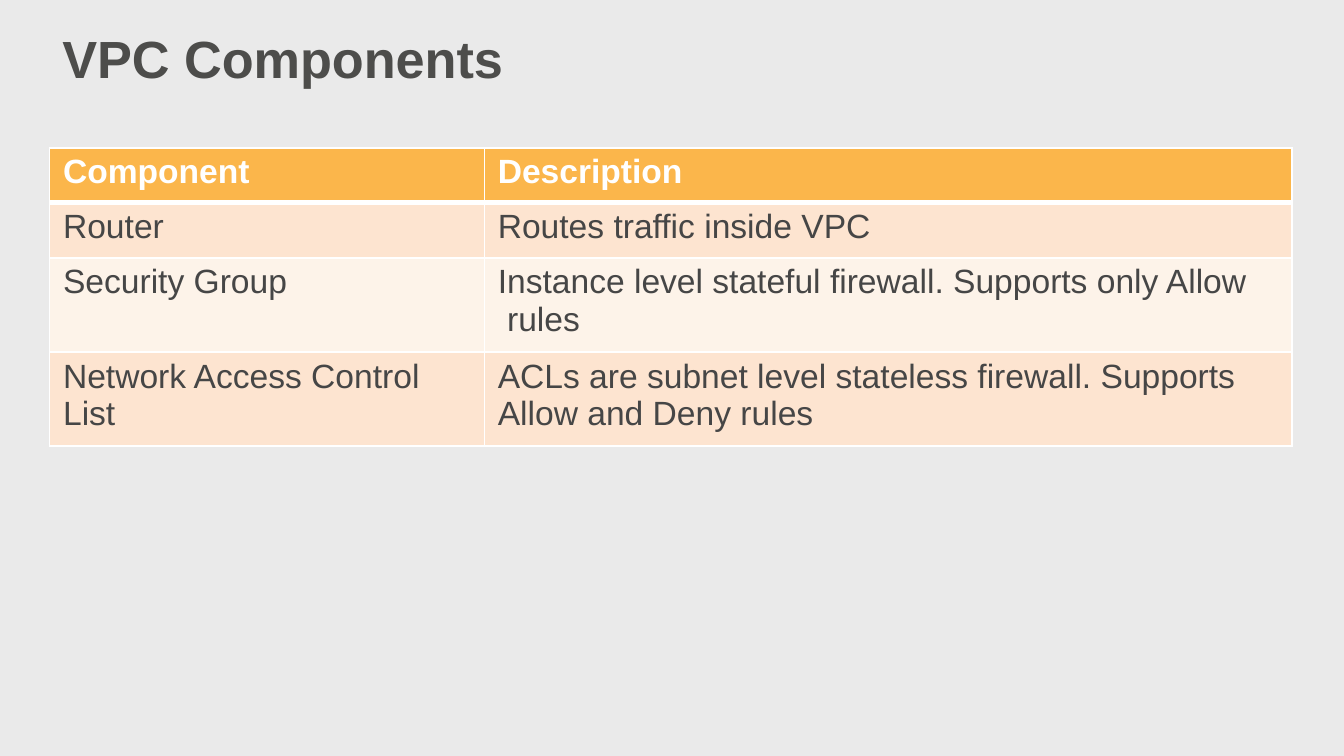
from dataclasses import dataclass

from pptx import Presentation
from pptx.dml.color import RGBColor
from pptx.enum import text
from pptx.oxml import parse_xml
from pptx.oxml.ns import nsdecls
from pptx.util import Pt


@dataclass(frozen=True)
class Theme:
    font: str = "Arial"
    background: str = "EAEAEA"
    title: str = "4D4D4B"
    body: str = "464646"
    white: str = "FFFFFF"
    header: str = "FBB64B"
    bands: tuple[str, str] = ("FDE4D0", "FDF3E9")
    title_size: int = 28
    table_size: int = 18


@dataclass(frozen=True)
class Row:
    component: str
    description: str
    height: float
    hanging: float = 0  # extra indent of wrapped description lines


THEME = Theme()
COLUMN_WIDTHS = (232.9, 432.8)
CELL_INDENT = 7.2
ROWS = (
    Row("Component", "Description", 29.5),
    Row("Router", "Routes traffic inside VPC", 29.5),
    Row("Security Group",
        "Instance level stateful firewall. Supports only Allow rules", 50.4, 5),
    Row("Network Access Control\nList",
        "ACLs are subnet level stateless firewall. Supports\nAllow and Deny rules", 50.4),
)


def style_paragraph(paragraph, size: float, color: str, bold: bool) -> None:
    font = paragraph.font
    font.name, font.size, font.bold = THEME.font, Pt(size), bold
    font.color.rgb = RGBColor.from_string(color)


def add_title(slide, content: str) -> None:
    shape = slide.shapes.add_textbox(Pt(32.4), Pt(10.8), Pt(237.6), Pt(35.3))
    frame = shape.text_frame
    frame.word_wrap = True
    frame.margin_left, frame.margin_right = Pt(1), 0
    frame.margin_top, frame.margin_bottom = Pt(3), 0
    frame.text = content
    style_paragraph(frame.paragraphs[0], THEME.title_size, THEME.title, True)


def add_border(cell, side: str, width: float) -> None:
    cell._tc.get_or_add_tcPr().append(parse_xml(
        f'<a:{side} {nsdecls("a")} w="{Pt(width)}"><a:solidFill>'
        f'<a:srgbClr val="{THEME.white}"/></a:solidFill></a:{side}>'))


def fill_cell(cell, content: str, row_index: int, hanging: float) -> None:
    is_header = row_index == 0
    # Borders come before the fill in the cell properties
    for side in ("lnL", "lnR", "lnT", "lnB"):
        is_divider = (row_index, side) in ((0, "lnB"), (1, "lnT"))
        add_border(cell, side, 3 if is_divider else 1)
    cell.fill.solid()
    cell.fill.fore_color.rgb = RGBColor.from_string(
        THEME.header if is_header else THEME.bands[(row_index - 1) % 2])
    cell.margin_left = cell.margin_right = cell.margin_bottom = 0
    cell.margin_top = Pt(3)
    cell.vertical_anchor = text.MSO_ANCHOR.TOP
    cell.text_frame.text = content
    for paragraph in cell.text_frame.paragraphs:
        properties = paragraph._p.get_or_add_pPr()
        properties.set("marL", str(Pt(CELL_INDENT + hanging)))
        properties.set("indent", str(Pt(-hanging)))
        style_paragraph(paragraph, THEME.table_size,
                        THEME.white if is_header else THEME.body, is_header)


def add_component_table(slide, rows: tuple[Row, ...]) -> None:
    table = slide.shapes.add_table(
        len(rows), len(COLUMN_WIDTHS), Pt(26.6), Pt(79.2),
        Pt(sum(COLUMN_WIDTHS)), Pt(sum(row.height for row in rows))).table
    for column, width in zip(table.columns, COLUMN_WIDTHS):
        column.width = Pt(width)
    for index, row in enumerate(rows):
        table.rows[index].height = Pt(row.height)
        fill_cell(table.cell(index, 0), row.component, index, 0)
        fill_cell(table.cell(index, 1), row.description, index, row.hanging)


def main() -> None:
    presentation = Presentation()
    presentation.slide_width, presentation.slide_height = Pt(720), Pt(405)
    slide = presentation.slides.add_slide(presentation.slide_layouts[6])

    # Background
    slide.background.fill.solid()
    slide.background.fill.fore_color.rgb = RGBColor.from_string(THEME.background)

    # Title and table
    add_title(slide, "VPC Components")
    add_component_table(slide, ROWS)
    presentation.save("out.pptx")


if __name__ == "__main__":
    main()
